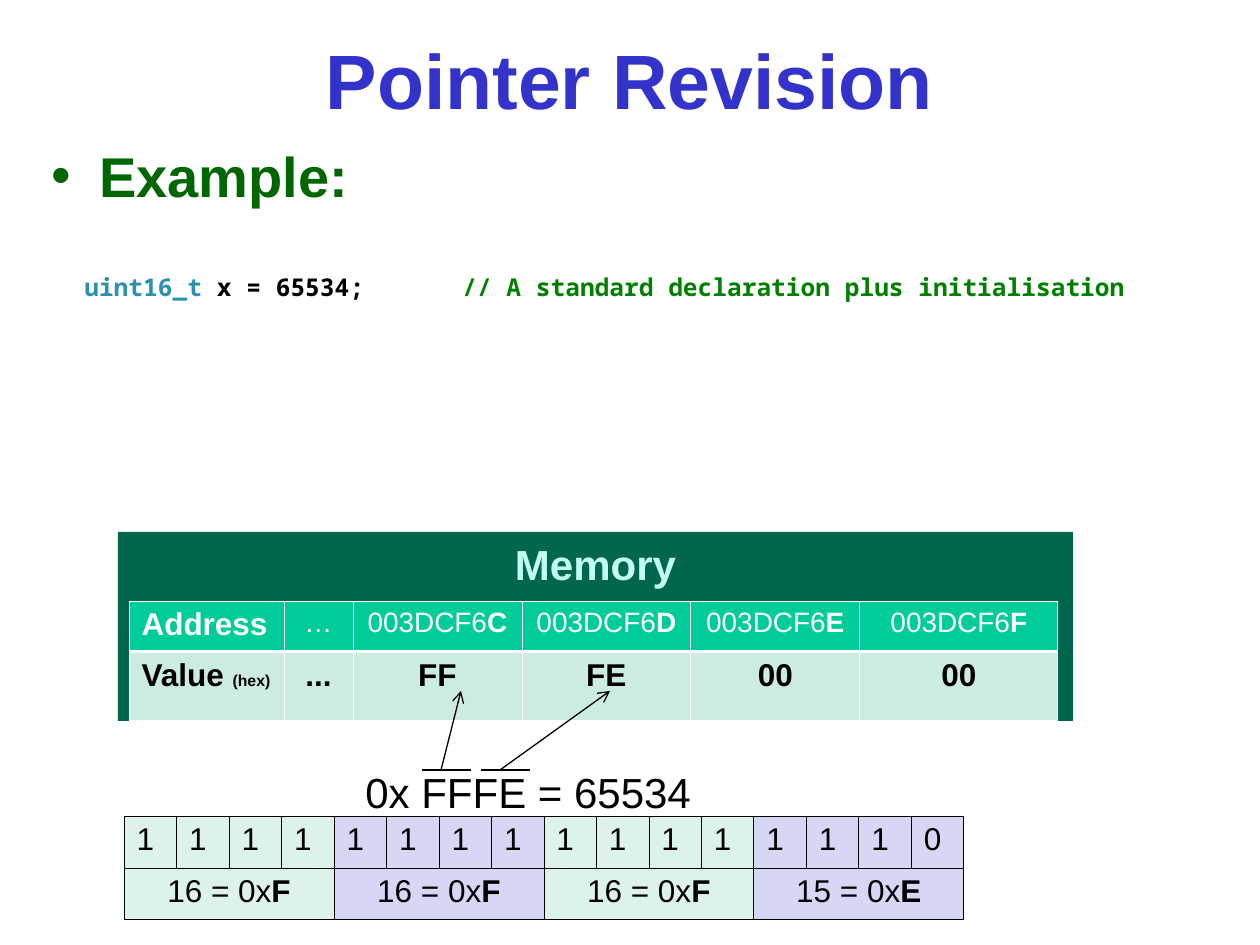
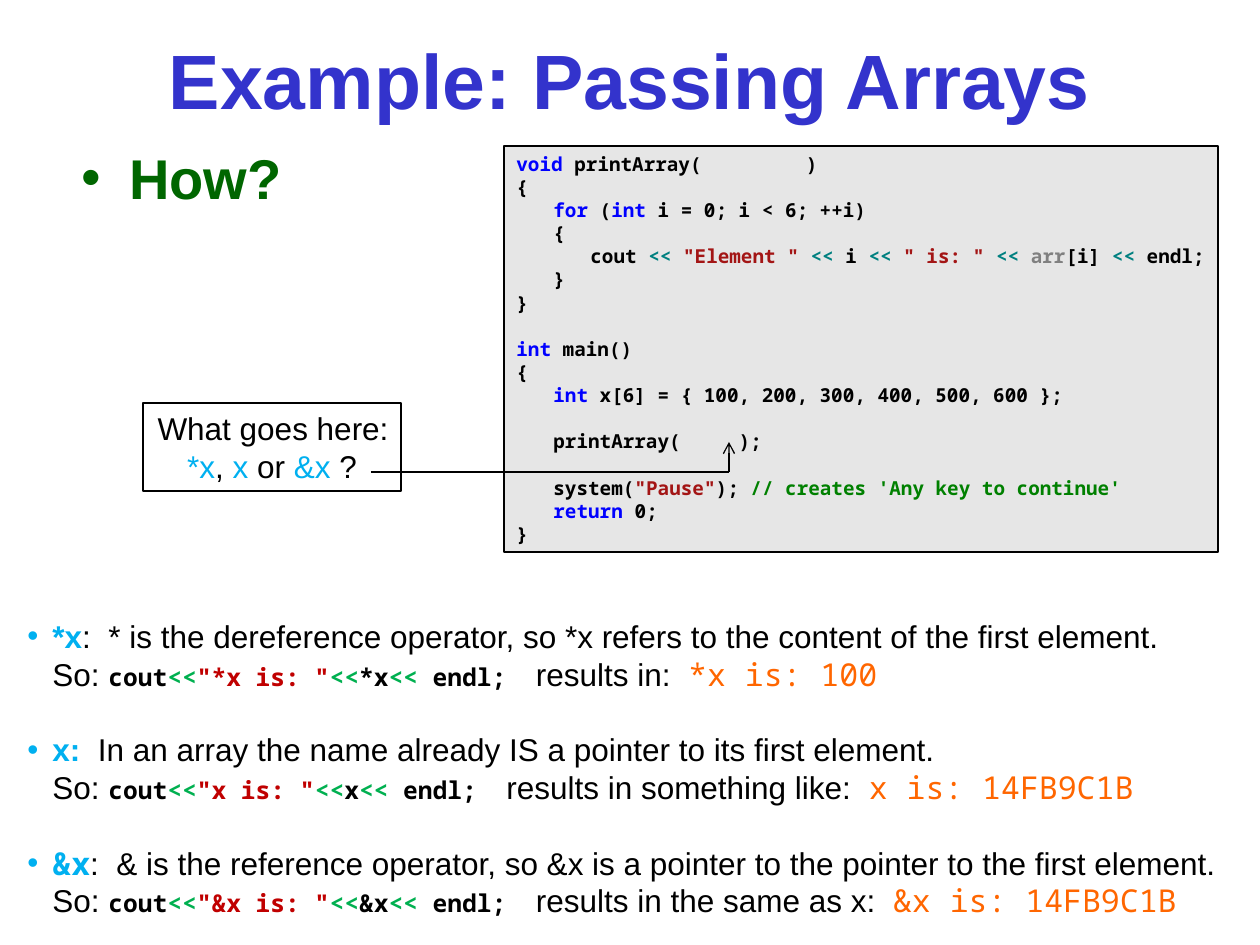
from dataclasses import dataclass, replace

from lxml import etree
from pptx import Presentation
from pptx import util as u
from pptx.dml import color
from pptx.enum import shapes, text
from pptx.oxml import ns

COLOURS = {
    "title": "3333CC", "heading": "006600", "black": "000000", "white": "FFFFFF",
    "memory": "00664D", "memory_title": "C2FFF0", "address": "00CC99", "value": "CBECDE",
    "nibble_green": "DDF3EA", "nibble_violet": "D6D6F5", "panel": "E6E6E6",
    "type": "2B91AF", "comment": "008000", "keyword": "0000FF", "operator": "008080",
    "string": "A31515", "parameter": "808080", "accent": "00B0F0", "stream": "00B050",
    "quoted": "C00000", "output": "FF6600",
}
SANS, MONO = "Arial", "Noto Sans Mono"
PX = 914400 / 126
LEFT, CENTER, RIGHT = text.PP_ALIGN.LEFT, text.PP_ALIGN.CENTER, text.PP_ALIGN.RIGHT
TOP, MIDDLE = text.MSO_ANCHOR.TOP, text.MSO_ANCHOR.MIDDLE


@dataclass(frozen=True)
class Style:
    font: str = SANS
    size: int = 18
    colour: str = "black"
    bold: bool = False


BODY = Style()
BOLD = replace(BODY, bold=True)
CODE = Style(MONO, 14, "black", True)
SMALL_CODE = replace(CODE, size=11)
HEADING = Style(SANS, 32, "heading", True)


def px(length):
    return u.Emu(round(length * PX))


def rgb(name):
    return color.RGBColor.from_string(COLOURS[name])


def tinted(style, *parts):
    return [(part, replace(style, colour=colour)) for part, colour in parts]


def write(paragraph, runs, align=LEFT):
    paragraph.alignment = align
    for content, style in runs:
        if content == "\n":
            paragraph.add_line_break()
            continue
        run = paragraph.add_run()
        run.text = content
        run.font.name = style.font
        run.font.size = u.Pt(style.size)
        run.font.bold = style.bold
        run.font.color.rgb = rgb(style.colour)


def add_bullet(paragraph, indent, colour):
    properties = paragraph._p.get_or_add_pPr()
    properties.set("marL", str(px(indent)))
    properties.set("indent", str(-px(indent)))
    bullet_colour = etree.SubElement(properties, ns.qn("a:buClr"))
    etree.SubElement(bullet_colour, ns.qn("a:srgbClr"), val=COLOURS[colour])
    etree.SubElement(properties, ns.qn("a:buFont"), typeface=SANS)
    etree.SubElement(properties, ns.qn("a:buChar"), char="•")


def add_tabs(paragraph, stops):
    tab_list = etree.SubElement(paragraph._p.get_or_add_pPr(), ns.qn("a:tabLst"))
    for stop in stops:
        etree.SubElement(tab_list, ns.qn("a:tab"), pos=str(px(stop)), algn="l")


def add_text(slide, box, wrap=True, anchor=TOP):
    shape = slide.shapes.add_textbox(*map(px, box))
    shape.text_frame.word_wrap = wrap
    shape.text_frame.vertical_anchor = anchor
    return shape.text_frame


def add_panel(slide, box, fill=None, outlined=False, wrap=True):
    shape = slide.shapes.add_shape(shapes.MSO_SHAPE.RECTANGLE, *map(px, box))
    shape.shadow.inherit = False
    if fill:
        shape.fill.solid()
        shape.fill.fore_color.rgb = rgb(fill)
    else:
        shape.fill.background()
    if outlined:
        shape.line.color.rgb = rgb("black")
        shape.line.width = u.Pt(0.75)
    else:
        shape.line.fill.background()
    shape.text_frame.word_wrap = wrap
    shape.text_frame.vertical_anchor = TOP
    return shape.text_frame


def add_line(slide, start, end, arrow=False):
    connector = slide.shapes.add_connector(
        shapes.MSO_CONNECTOR.STRAIGHT, *map(px, (*start, *end)))
    connector.line.color.rgb = rgb("black")
    connector.line.width = u.Pt(0.75)
    if arrow:
        etree.SubElement(connector.line._get_or_add_ln(), ns.qn("a:tailEnd"), type="arrow")
    etree.SubElement(connector._element.spPr, ns.qn("a:effectLst"))


def add_table(slide, box, row_heights, column_widths):
    table = slide.shapes.add_table(
        len(row_heights), len(column_widths), *map(px, box)).table
    table.first_row = table.horz_banding = False
    for row, height in zip(table.rows, row_heights):
        row.height = px(height)
    for column, width in zip(table.columns, column_widths):
        column.width = px(width)
    return table


def paint_cell(cell, fill, border, widths):
    properties = cell._tc.get_or_add_tcPr()
    for side, width in zip("LRTB", widths):
        line = etree.SubElement(properties, ns.qn(f"a:ln{side}"), w=str(u.Pt(width)))
        solid = etree.SubElement(line, ns.qn("a:solidFill"))
        etree.SubElement(solid, ns.qn("a:srgbClr"), val=COLOURS[border])
    cell.fill.solid()
    cell.fill.fore_color.rgb = rgb(fill)


def add_titled_slide(presentation, title):
    slide = presentation.slides.add_slide(presentation.slide_layouts[6])
    frame = add_text(slide, (0, 0, 1260, 158), anchor=MIDDLE)
    write(frame.paragraphs[0], [(title, Style(SANS, 44, "title", True))], CENTER)
    return slide


def add_heading(slide, box, heading):
    paragraph = add_text(slide, box).paragraphs[0]
    add_bullet(paragraph, 48, "heading")
    write(paragraph, [(heading, HEADING)])


def add_declaration(slide, box):
    paragraph = add_text(slide, box, wrap=False).paragraphs[0]
    add_tabs(paragraph, [378])
    write(paragraph, tinted(
        CODE, ("uint16_t", "type"), (" x = 65534;\t", "black"),
        ("// A standard declaration plus initialisation", "comment")))


def add_memory(slide, box):
    left, top, width, height = box
    frame = add_panel(slide, box, "memory")
    write(frame.paragraphs[0], [("Memory", Style(SANS, 24, "memory_title", True))], CENTER)

    table = add_table(slide, (left + 11, top + 69, 929, 119), (50, 69),
                      (155, 69, 169, 169, 169, 198))
    header = Style(SANS, 16, "white")
    addresses = [[("Address", replace(BOLD, colour="white"))], [("…", header)]]
    addresses += [[("003DCF6", header), (digit, replace(header, bold=True))]
                  for digit in "CDEF"]
    values = [[("Value ", BOLD), ("(hex)", replace(BOLD, size=9))]]
    values += [[(value, BOLD)] for value in ("...", "FF", "FE", "00", "00")]
    rows = ((addresses, "address", (0.45, 0.45, 0.45, 1.47)),
            (values, "value", (0.45, 0.45, 1.47, 0.45)))
    for row, (contents, fill, widths) in enumerate(rows):
        for column, runs in enumerate(contents):
            cell = table.cell(row, column)
            paint_cell(cell, fill, "white", widths)
            write(cell.text_frame.paragraphs[0], runs, CENTER if column else LEFT)


def add_number(slide, box):
    left, top, width, height = box
    frame = add_text(slide, box)
    write(frame.paragraphs[0], [("0x FFFE = 65534", replace(BODY, size=24))])
    bar = top + 10
    for bar_left, foot, tip in ((69, 88, 108), (128, 147, 257)):
        add_line(slide, (left + bar_left, bar), (left + bar_left + 49, bar))
        add_line(slide, (left + foot, bar), (left + tip, bar - 79), arrow=True)


def add_bits(slide, box):
    width = box[2]
    table = add_table(slide, box, (52, 51), [width / 16] * 16)
    for column, bit in enumerate(format(65534, "016b")):
        fill = ("nibble_green", "nibble_violet")[column // 4 % 2]
        for row in range(2):
            paint_cell(table.cell(row, column), fill, "black", [0.45] * 4)
        write(table.cell(0, column).text_frame.paragraphs[0], [(bit, BODY)])
    nibbles = (("16", "F"), ("16", "F"), ("16", "F"), ("15", "E"))
    for index, (number, digit) in enumerate(nibbles):
        cell = table.cell(1, index * 4)
        cell.merge(table.cell(1, index * 4 + 3))
        write(cell.text_frame.paragraphs[0],
              [(f"{number} = 0x", BODY), (digit, BOLD)], CENTER)


def add_listing(slide, box):
    blocks = [
        [[("void", "keyword"), (" printArray(         )", "black")],
         [("{", "black")],
         [("\t", "black"), ("for", "keyword"), (" (", "black"), ("int", "keyword"),
          (" i = 0; i < 6; ++i)", "black")],
         [("\t{", "black")],
         [("\t\tcout ", "black"), ("<< ", "operator"), ('"Element " ', "string"),
          ("<<", "operator"), (" i ", "black"), ("<< ", "operator"),
          ('" is: " ', "string"), ("<< ", "operator"), ("arr", "parameter"),
          ("[i] ", "black"), ("<<", "operator"), (" endl;", "black")],
         [("\t}", "black")],
         [("}", "black")]],
        [[("int", "keyword"), (" main()", "black")],
         [("{", "black")],
         [("\t", "black"), ("int", "keyword"),
          (" x[6] = { 100, 200, 300, 400, 500, 600 };", "black")]],
        [[("\tprintArray(     );", "black")]],
        [[("\tsystem(", "black"), ('"Pause"', "string"), ("); ", "black"),
          ("// creates 'Any key to continue'", "comment")],
         [("\t", "black"), ("return", "keyword"), (" 0;", "black")],
         [("}", "black")]],
    ]
    frame = add_panel(slide, box, "panel", outlined=True, wrap=False)
    paragraph = None
    for block in blocks:
        for index, line in enumerate(block):
            starts_block = paragraph is not None and index == 0
            paragraph = frame.add_paragraph() if paragraph else frame.paragraphs[0]
            add_tabs(paragraph, (37, 74))
            if starts_block:
                paragraph.space_before = u.Pt(13.2)
            write(paragraph, tinted(SMALL_CODE, *line))


def add_question(slide, box):
    left, top, width, height = box
    frame = add_panel(slide, box, outlined=True)
    write(frame.paragraphs[0], [("What goes here:", BODY)], RIGHT)
    write(frame.add_paragraph(), tinted(
        BODY, ("*x", "accent"), (", ", "black"), ("x", "accent"), (" or ", "black"),
        ("&x", "accent"), (" ?", "black")), CENTER)
    corner = (left + 586, top + 69)
    add_line(slide, (left + 228, top + 69), corner)
    add_line(slide, corner, (left + 586, top + 39), arrow=True)


def add_answers(slide, box):
    answers = (
        ("*x", "*x", SANS, ":  * is the dereference operator, so *x refers to the content "
         "of the first element.", "results in:  ", "100"),
        ("x", "x:", SANS, "  In an array the name already IS a pointer to its first element.",
         "results in something like:  ", "14FB9C1B"),
        ("&x", "&x", MONO, ":  & is the reference operator, so &x is a pointer to the pointer "
         "to the first element.", "results in the same as x:  ", "14FB9C1B"),
    )
    frame = add_text(slide, box)
    for index, (name, label, font, meaning, lead, result) in enumerate(answers):
        paragraph = frame.add_paragraph() if index else frame.paragraphs[0]
        add_bullet(paragraph, 25, "accent")
        if index:
            paragraph.space_before = u.Pt(21.5)
        statement = tinted(
            CODE, ("cout", "black"), ("<<", "stream"), (f'"{name} is: "', "quoted"),
            ("<<", "stream"), (name, "black"), ("<<", "stream"), (" endl;  ", "black"))
        write(paragraph, [
            (label, Style(font, 18, "accent", True)), (meaning, BODY), ("\n", BODY),
            ("So: ", BODY), *statement, (lead, BODY),
            (f"{name} is: {result}", Style(MONO, 18, "output"))])


def build_pointer_revision(presentation):
    slide = add_titled_slide(presentation, "Pointer Revision")
    add_heading(slide, (39, 135, 1221, 100), "Example:")
    add_declaration(slide, (72, 266, 1068, 72))
    add_memory(slide, (118, 532, 955, 189))
    add_number(slide, (353, 760, 407, 63))
    add_bits(slide, (124, 816, 840, 103))


def build_passing_arrays(presentation):
    slide = add_titled_slide(presentation, "Example: Passing Arrays")
    add_heading(slide, (69, 137, 442, 176), "How?")
    add_listing(slide, (504, 146, 714, 406))
    add_question(slide, (143, 403, 258, 88))
    add_answers(slide, (15, 611, 1230, 315))


def main():
    presentation = Presentation()
    presentation.slide_width = px(1260)
    presentation.slide_height = px(945)
    build_pointer_revision(presentation)
    build_passing_arrays(presentation)
    presentation.save("out.pptx")


if __name__ == "__main__":
    main()
